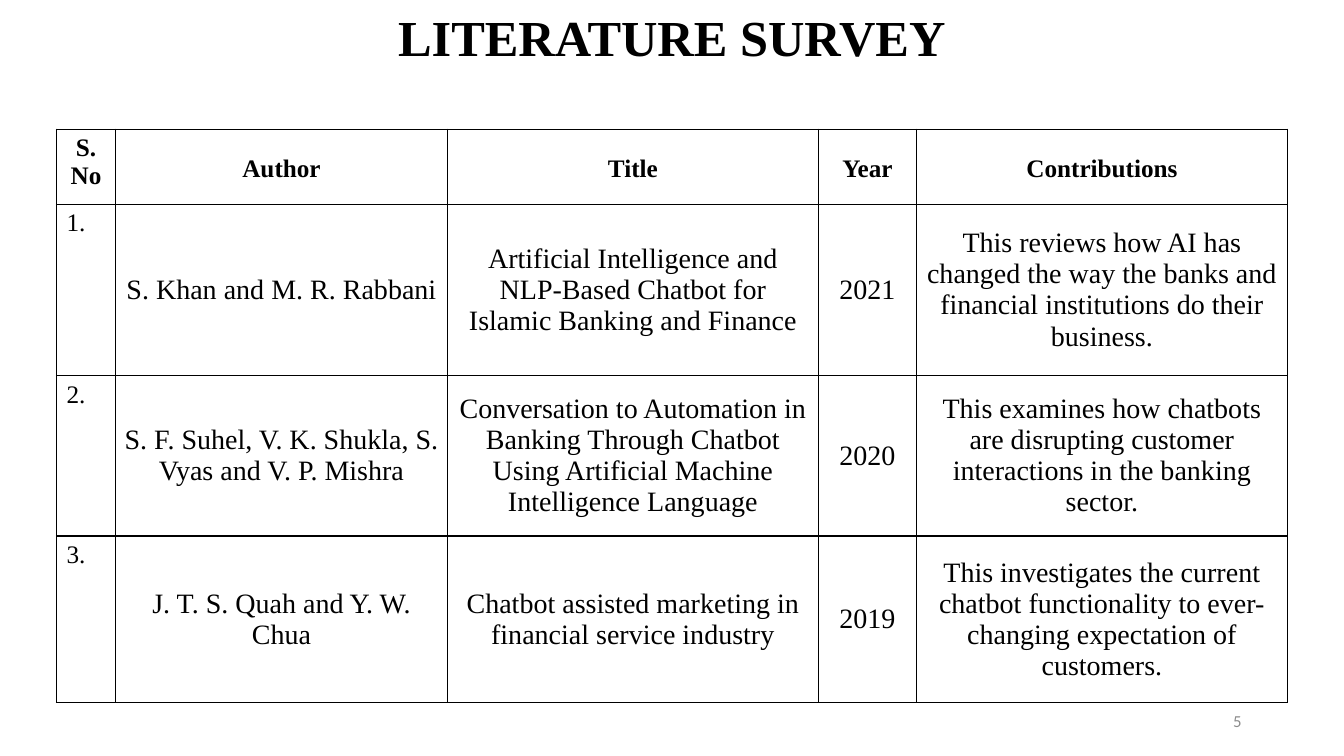
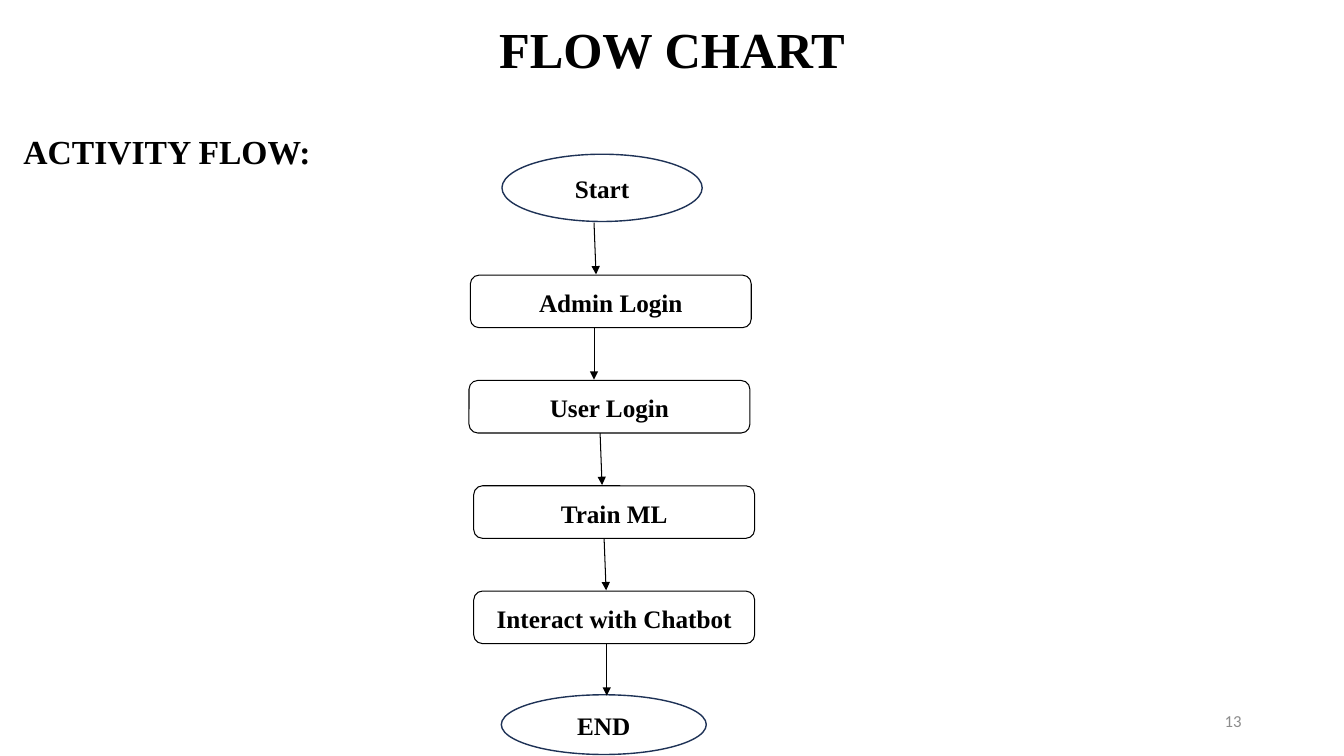
from dataclasses import dataclass

from lxml.etree import SubElement
from pptx import Presentation
from pptx.dml.color import RGBColor
from pptx.enum.shapes import MSO_CONNECTOR, MSO_SHAPE
from pptx.enum.text import MSO_ANCHOR, PP_ALIGN
from pptx.oxml.ns import qn
from pptx.util import Inches, Pt

WIDTH, HEIGHT = Inches(13.333), Inches(7.5)


@dataclass(frozen=True)
class Theme:
    serif: str = "Times New Roman"
    sans: str = "Calibri"
    ink: str = "000000"
    paper: str = "FFFFFF"
    oval_line: str = "1E3256"
    grey: str = "8C8C8C"
    title: int = 36
    heading: int = 24
    entry: int = 20
    label: int = 18
    footer: int = 12
    thin: float = 0.75
    rule: float = 1


THEME = Theme()

# Every length below is a percentage of the slide's width or height.
COLUMNS = (4.4, 24.7, 27.6, 7.3, 27.6)
ROWS = (9.9, 22.7, 21.2, 22)
SURVEY = [
    ("S. No", "Author", "Title", "Year", "Contributions"),
    ("1.", "S. Khan and M. R. Rabbani",
     "Artificial Intelligence and NLP-Based Chatbot for Islamic Banking and Finance", "2021",
     "This reviews how AI has changed the way the banks and financial institutions "
     "do their business."),
    ("2.", "S. F. Suhel, V. K. Shukla, S. Vyas and V. P. Mishra",
     "Conversation to Automation in Banking Through Chatbot Using Artificial Machine "
     "Intelligence Language", "2020",
     "This examines how chatbots are disrupting customer interactions in the banking sector."),
    ("3.", "J. T. S. Quah and Y. W. Chua",
     "Chatbot assisted marketing in financial service industry", "2019",
     "This investigates the current chatbot functionality to ever-changing expectation "
     "of customers."),
]

STEPS = [("Admin Login", 35), ("User Login", 34.9),
         ("Train ML", 35.25), ("Interact with Chatbot", 35.25)]
STEP_TOP, STEP_WIDTH, STEP_HEIGHT, STEP_PITCH = 36.4, 20.9, 6.95, 13.93
ARROWS = [(44.2, 44.35), (44.2, 44.2), (44.65, 44.8), (44.95, 45.1), (45.15, 45.15)]
ARROW_TOP, ARROW_LENGTH = 29.45, 6.85


def across(percent):
    return round(WIDTH * percent / 100)


def down(percent):
    return round(HEIGHT * percent / 100)


def place(left, top, width, height):
    return across(left), down(top), across(width), down(height)


def apply(target, values):
    for name, value in values.items():
        setattr(target, name, value)


def write(frame, text, size, bold=True, font=THEME.serif, color=THEME.ink,
          align=PP_ALIGN.CENTER, spacing=1.0, anchor=MSO_ANCHOR.MIDDLE):
    apply(frame, {"word_wrap": True, "vertical_anchor": anchor})
    para = frame.paragraphs[0]
    apply(para, {"alignment": align, "line_spacing": spacing})
    span = para.add_run()
    span.text = text
    apply(span.font, {"name": font, "size": Pt(size), "bold": bold})
    span.font.color.rgb = RGBColor.from_string(color)


def add_text(page, area, text, size, **style):
    box = page.shapes.add_textbox(*place(*area))
    write(box.text_frame, text, size, **style)


def add_page(deck, title, title_height, number):
    """Add a blank page with the shared title and page number."""
    page = deck.slides.add_slide(deck.slide_layouts[6])
    add_text(page, (0, 0, 100, title_height), title, THEME.title, spacing=0.9)
    add_text(page, (70.63, 92.71, 22.5, 5.33), str(number), THEME.footer, bold=False,
             font=THEME.sans, color=THEME.grey, align=PP_ALIGN.RIGHT)
    return page


def add_borders(cell):
    properties = cell._tc.get_or_add_tcPr()
    for side in ("a:lnL", "a:lnR", "a:lnT", "a:lnB"):
        line = SubElement(properties, qn(side), w=str(Pt(THEME.rule)))
        fill = SubElement(line, qn("a:solidFill"))
        SubElement(fill, qn("a:srgbClr"), val=THEME.ink)


def fill_cell(cell, text, is_header, is_number):
    add_borders(cell)
    cell.fill.background()
    if not is_number:
        apply(cell, {"margin_left": Inches(0.08), "margin_right": Inches(0.08),
                     "margin_top": 0, "margin_bottom": 0})
    anchor = MSO_ANCHOR.TOP if is_number else MSO_ANCHOR.MIDDLE
    write(cell.text_frame, text,
          THEME.label if is_header or is_number else THEME.entry,
          bold=is_header,
          align=PP_ALIGN.LEFT if is_number and not is_header else PP_ALIGN.CENTER,
          spacing=1.15 if is_header and not is_number else 1.0)
    cell.vertical_anchor = anchor


def add_survey(page):
    area = place(4.2, 17.1, sum(COLUMNS), sum(ROWS))
    table = page.shapes.add_table(len(ROWS), len(COLUMNS), *area).table
    apply(table, {"first_row": False, "horz_banding": False})
    for column, share in zip(table.columns, COLUMNS):
        column.width = across(share)
    for row, share in zip(table.rows, ROWS):
        row.height = down(share)
    for row_index, entries in enumerate(SURVEY):
        for column_index, text in enumerate(entries):
            fill_cell(table.cell(row_index, column_index), text,
                      row_index == 0, column_index == 0)


def add_node(page, kind, area, text, line_color, line_width):
    node = page.shapes.add_shape(kind, *place(*area))
    node.shadow.inherit = False
    node.fill.solid()
    node.fill.fore_color.rgb = RGBColor.from_string(THEME.paper)
    node.line.color.rgb = RGBColor.from_string(line_color)
    node.line.width = Pt(line_width)
    write(node.text_frame, text, THEME.label, spacing=1.07)


def add_arrow(page, start_x, end_x, top):
    arrow = page.shapes.add_connector(MSO_CONNECTOR.STRAIGHT, across(start_x), down(top),
                                      across(end_x), down(top + ARROW_LENGTH))
    arrow.line.color.rgb = RGBColor.from_string(THEME.ink)
    arrow.line.width = Pt(THEME.thin)
    SubElement(arrow.line._get_or_add_ln(), qn("a:tailEnd"), type="triangle")
    SubElement(arrow._element.spPr, qn("a:effectLst"))


def add_flow(page):
    for text, area in (("Start", (37.35, 20.4, 14.9, 8.9)),
                       ("END", (37.3, 91.9, 15.25, 7.9))):
        add_node(page, MSO_SHAPE.OVAL, area, text, THEME.oval_line, THEME.rule)
    for index, (text, left) in enumerate(STEPS):
        area = (left, STEP_TOP + index * STEP_PITCH, STEP_WIDTH, STEP_HEIGHT)
        add_node(page, MSO_SHAPE.ROUNDED_RECTANGLE, area, text, THEME.ink, THEME.thin)
    for index, (start_x, end_x) in enumerate(ARROWS):
        add_arrow(page, start_x, end_x, ARROW_TOP + index * STEP_PITCH)


def main():
    deck = Presentation()
    apply(deck, {"slide_width": WIDTH, "slide_height": HEIGHT})

    add_survey(add_page(deck, "LITERATURE SURVEY", 10.67, 5))

    flow_page = add_page(deck, "FLOW CHART", 13.73, 13)
    add_text(flow_page, (1, 14, 50, 8.5), "ACTIVITY FLOW:", THEME.heading,
             align=PP_ALIGN.JUSTIFY, spacing=1.5, anchor=MSO_ANCHOR.TOP)
    add_flow(flow_page)

    deck.save("out.pptx")


if __name__ == "__main__":
    main()
